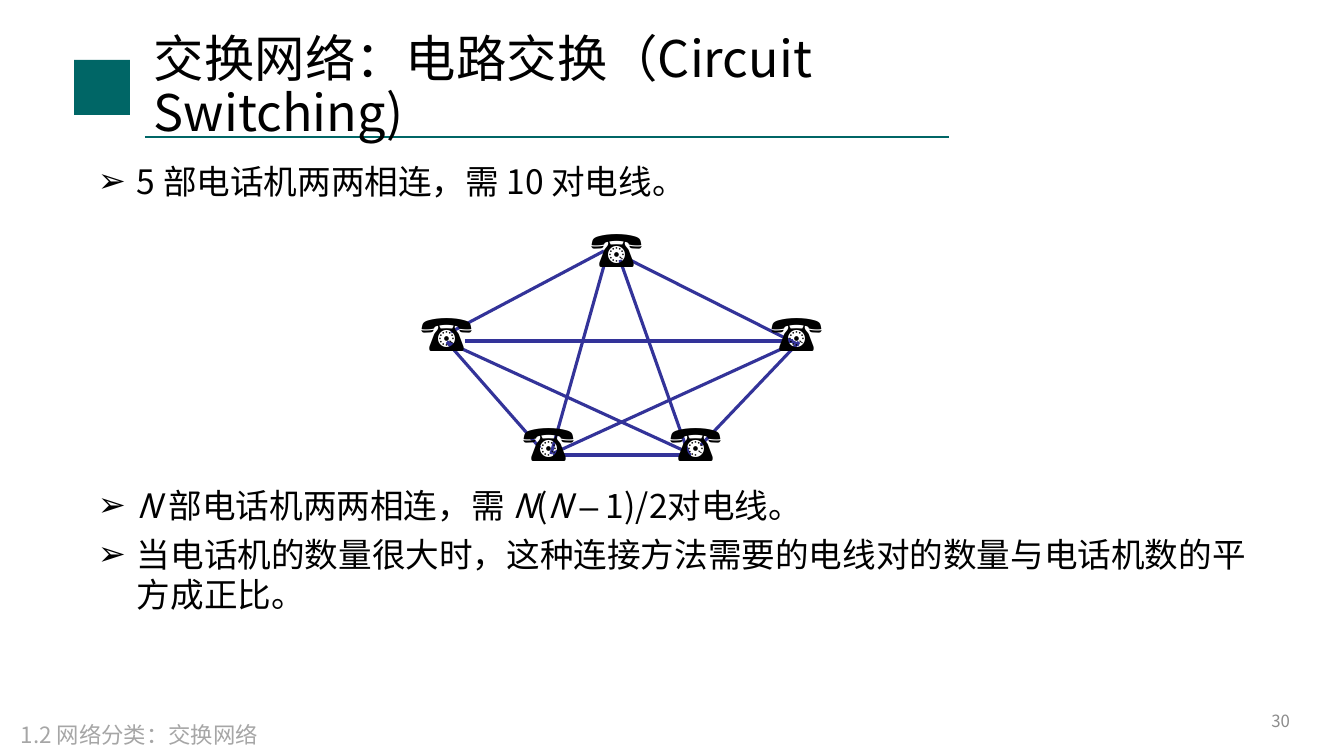
"""Build the slide on circuit switching with five fully connected telephones."""
from lxml import etree
from pptx import Presentation
from pptx.dml.color import RGBColor
from pptx.enum.shapes import MSO_CONNECTOR as CONNECTOR, MSO_SHAPE as SHAPE
from pptx.enum.text import MSO_ANCHOR as ANCHOR, PP_ALIGN as ALIGN
from pptx.oxml.ns import qn
from pptx.util import Pt

PX = 914400 / 100.8
FONT = "Noto Sans CJK SC"
COLORS = {"teal": "006666", "wire": "333399", "text": "000000",
          "page": "8C8C8C", "footer": "A6A6A6"}

TITLE = "交换网络：电路交换（Circuit Switching)"
PAGE_NUMBER = "30"
FOOTER = "1.2 网络分类：交换网络"
TOP_BULLETS = [[("5 部电话机两两相连，需 10 对电线。", False)]]
LOWER_BULLETS = [
    [("N ", True), ("部电话机两两相连，需 ", False), ("N", True), ("(", False),
     ("N ", True), ("–", False), (" 1)/2对电线。", False)],
    [("当电话机的数量很大时，这种连接方法需要的电线对的数量与电话机数的平方成正比。", False)],
]
PHONES = [(581, 212), (411, 296), (513, 406), (761, 296), (660, 406)]
PHONE_SIZE = (88, 71)
WIRES = [
    (451, 332, 604, 251), (630, 260, 799, 345), (447, 342, 540, 448),
    (553, 455, 691, 455), (701, 445, 799, 342), (620, 260, 689, 455),
    (605, 262, 551, 454), (465, 341, 793, 341), (447, 342, 689, 453),
    (554, 453, 788, 346),
]


def px(*values):
    return [round(value * PX) for value in values]


def color(name):
    return RGBColor.from_string(COLORS[name])


def add_line(slide, ends, color_name, width):
    line = slide.shapes.add_connector(CONNECTOR.STRAIGHT, *px(*ends))
    line.line.color.rgb = color(color_name)
    line.line.width = Pt(width)
    etree.SubElement(line._element.spPr, qn("a:effectLst"))


def style_run(run, size, color_name, font=FONT):
    run.font.size = Pt(size)
    run.font.name = font
    run.font.color.rgb = color(color_name)
    for tag in ("a:ea", "a:cs", "a:sym"):
        if tag != "a:sym" or font != FONT:
            properties = run._r.get_or_add_rPr()
            typeface = properties.makeelement(qn(tag), {"typeface": font})
            if tag == "a:sym":
                properties.find(qn("a:cs")).addprevious(typeface)
            else:
                properties.append(typeface)


def add_frame(slide, box, anchor=ANCHOR.TOP, wrap=True):
    frame = slide.shapes.add_textbox(*px(*box)).text_frame
    frame.word_wrap = wrap
    frame.vertical_anchor = anchor
    return frame


def add_label(slide, box, text, size, color_name, font=FONT, wrap=True,
              anchor=ANCHOR.TOP, align=ALIGN.LEFT, spacing=1.0):
    frame = add_frame(slide, box, anchor, wrap)
    frame.text = text
    paragraph = frame.paragraphs[0]
    paragraph.alignment = align
    paragraph.line_spacing = spacing
    style_run(paragraph.runs[0], size, color_name, font)


def add_bullets(slide, box, bullets):
    frame = add_frame(slide, box)
    for index, pieces in enumerate(bullets):
        paragraph = frame.paragraphs[0] if index == 0 else frame.add_paragraph()
        paragraph.space_before = Pt(6 if index else 0)
        properties = paragraph._p.get_or_add_pPr()
        indent = px(39)[0]
        properties.set("marL", str(indent))
        properties.set("indent", str(-indent))
        etree.SubElement(properties, qn("a:buFont"), typeface="Arial")
        etree.SubElement(properties, qn("a:buChar"), char="➢")
        for text, italic in pieces:
            run = paragraph.add_run()
            run.text = text
            run.font.italic = italic
            style_run(run, 24, "text", "Arial" if text == "–" else FONT)


def main():
    presentation = Presentation()
    presentation.slide_width, presentation.slide_height = px(1344, 756)
    slide = presentation.slides.add_slide(presentation.slide_layouts[6])

    emblem = slide.shapes.add_shape(SHAPE.RECTANGLE, *px(74, 60, 56, 55))
    emblem.shadow.inherit = False
    emblem.fill.solid()
    emblem.fill.fore_color.rgb = color("teal")
    emblem.line.fill.background()
    add_line(slide, (145, 137, 949, 137), "teal", 1.5)

    add_label(slide, (144, 40, 937, 97), TITLE, 36, "text",
              anchor=ANCHOR.MIDDLE, spacing=0.9)
    add_bullets(slide, (88, 156, 1174, 50), TOP_BULLETS)
    add_bullets(slide, (88, 480, 1174, 140), LOWER_BULLETS)
    add_label(slide, (998, 701, 302, 40), PAGE_NUMBER, 12, "page",
              anchor=ANCHOR.MIDDLE, align=ALIGN.RIGHT)
    add_label(slide, (11, 716, 294, 37), FOOTER, 16, "footer")

    for wire in WIRES:
        add_line(slide, wire, "wire", 2.25)
    for corner in PHONES:
        add_label(slide, corner + PHONE_SIZE, "☎", 36, "text",
                  font="Times New Roman", wrap=False)
    presentation.save("out.pptx")


if __name__ == "__main__":
    main()
